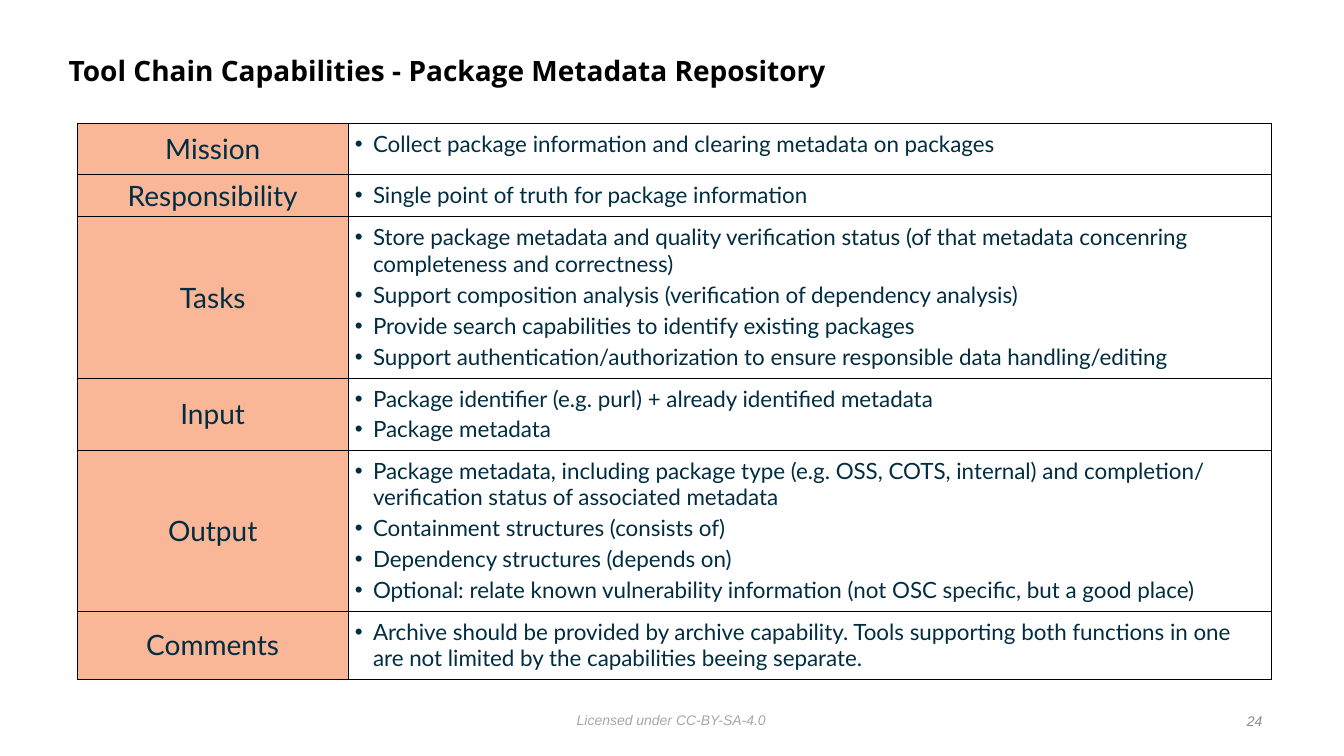
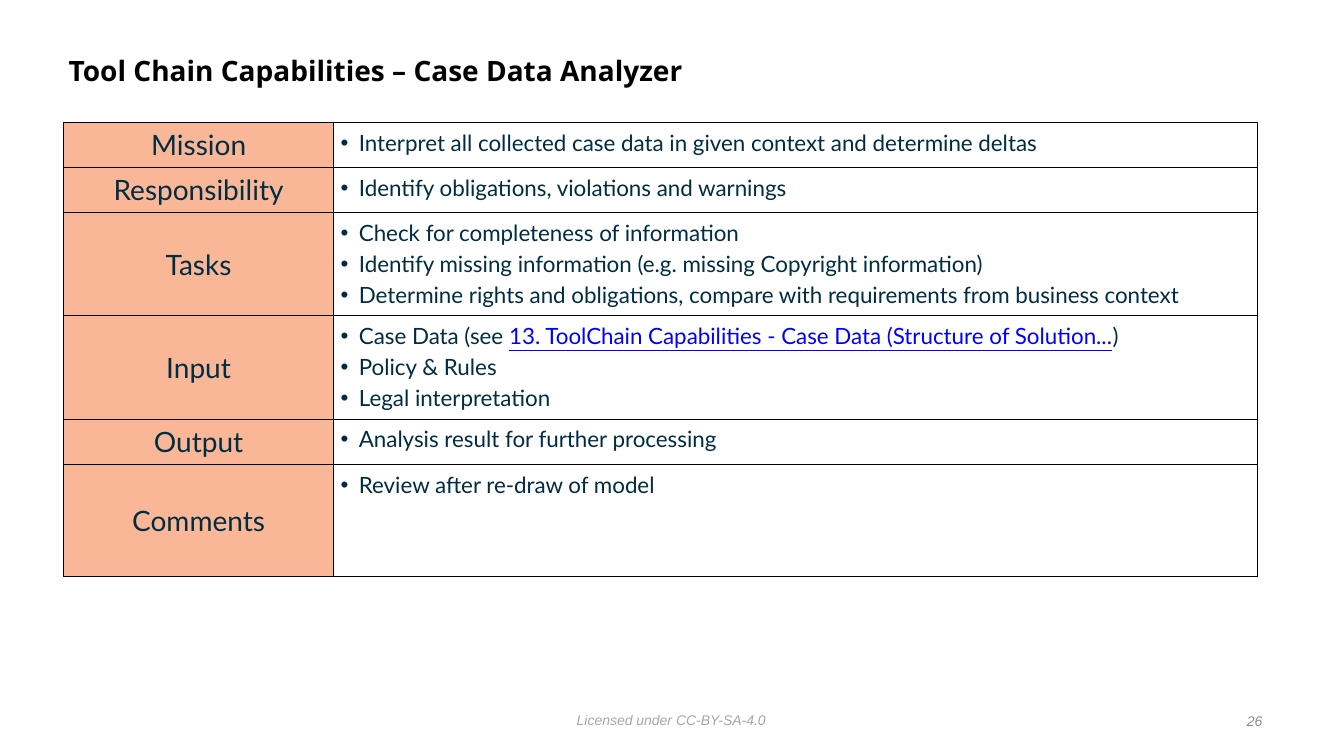
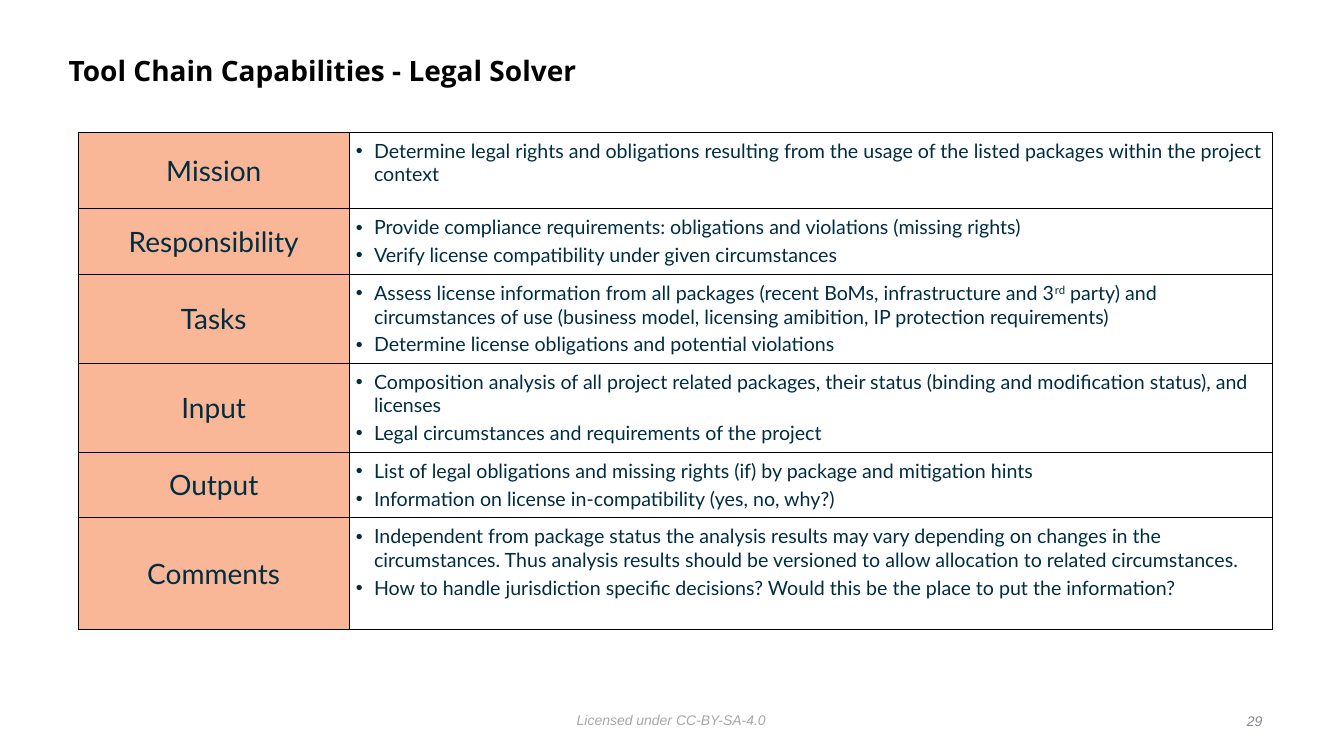
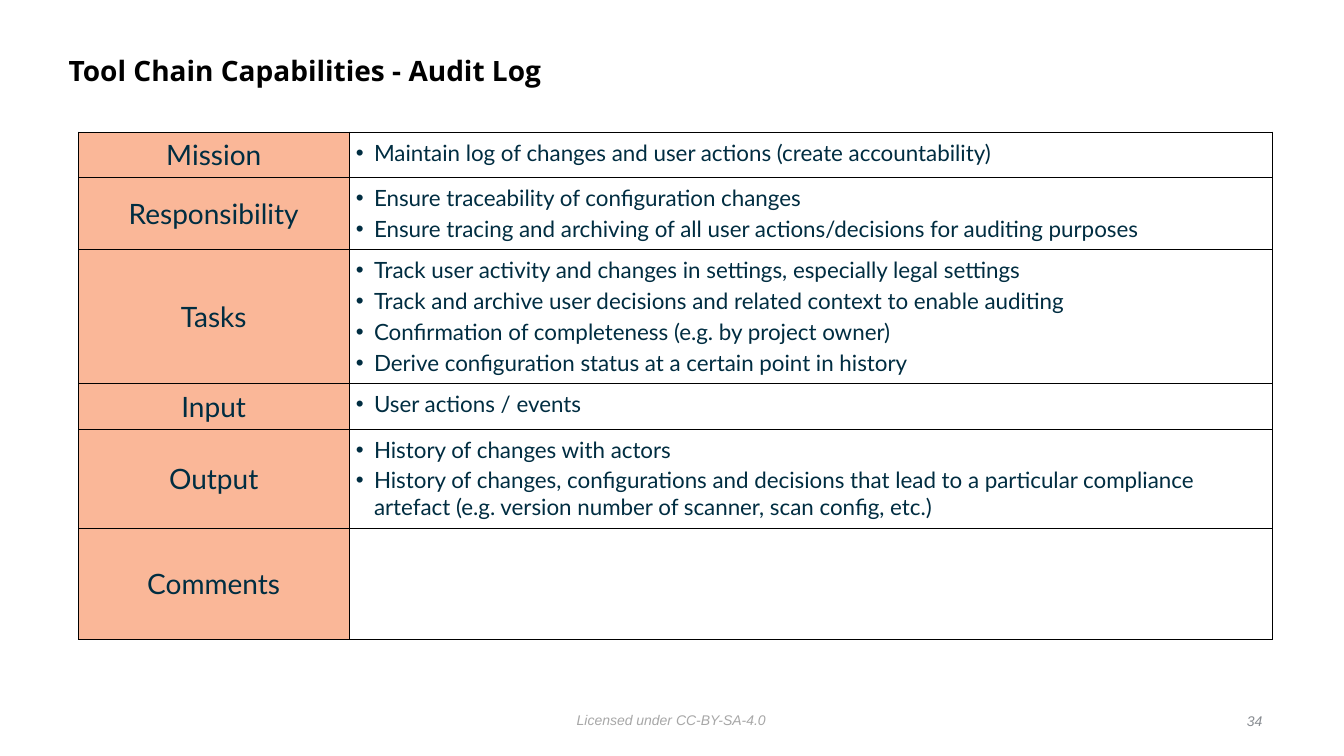
from lxml.etree import SubElement
from pptx import Presentation
from pptx.dml.color import RGBColor
from pptx.enum.text import MSO_ANCHOR, PP_ALIGN
from pptx.oxml.ns import qn
from pptx.util import Inches, Pt

BLACK, NAVY, PEACH, LINK_BLUE = "000000", "002D41", "FAB798", "0000FF"
LICENSE_GRAY, NUMBER_GRAY = "A7A7A7", "888C91"
TITLE_FONT, TABLE_FONT, FOOTER_FONT = "Open Sans", "Lato", "Arial"
COLUMN_WIDTHS = (2.68, 9.16)
LABELS = ("Mission", "Responsibility", "Tasks", "Input", "Output", "Comments")
LINK, SUPERSCRIPT = "link", "superscript"

# Each content entry holds the bullets of one row; a bullet is either
# a text or a list of (text, style) runs.
SLIDES = [
    {
        "title": "Tool Chain Capabilities - Package Metadata Repository",
        "number": 24,
        "position": (0.77, 1.22),
        "heights": (0.51, 0.42, 1.6, 0.71, 1.59, 0.67),
        "size": 16,
        "content": [
            ["Collect package information and clearing metadata on packages"],
            ["Single point of truth for package information"],
            ["Store package metadata and quality verification status (of that metadata "
             "concenring completeness and correctness)",
             "Support composition analysis (verification of dependency analysis)",
             "Provide search capabilities to identify existing packages",
             "Support authentication/authorization to ensure responsible data handling/editing"],
            ["Package identifier (e.g. purl) + already identified metadata",
             "Package metadata"],
            ["Package metadata, including package type (e.g. OSS, COTS, internal) and "
             "completion/ verification status of associated metadata",
             "Containment structures (consists of)",
             "Dependency structures (depends on)",
             "Optional: relate known vulnerability information (not OSC specific, "
             "but a good place)"],
            ["Archive should be provided by archive capability. Tools supporting both "
             "functions in one are not limited by the capabilities beeing separate."],
        ],
    },
    {
        "title": "Tool Chain Capabilities – Case Data Analyzer",
        "number": 26,
        "position": (0.63, 1.21),
        "heights": (0.45, 0.45, 1.02, 1.02, 0.45, 1.11),
        "size": 16,
        "content": [
            ["Interpret all collected case data in given context and determine deltas"],
            ["Identify obligations, violations and warnings"],
            ["Check for completeness of information",
             "Identify missing information (e.g. missing Copyright information)",
             "Determine rights and obligations, compare with requirements from "
             "business context"],
            [[("Case Data (see ", None),
              ("13. ToolChain Capabilities - Case Data (Structure of Solution...", LINK),
              (")", None)],
             "Policy & Rules",
             "Legal interpretation"],
            ["Analysis result for further processing"],
            ["Review after re-draw of model"],
        ],
    },
    {
        "title": "Tool Chain Capabilities - Legal Solver",
        "number": 29,
        "position": (0.78, 1.31),
        "heights": (0.76, 0.65, 0.88, 0.88, 0.65, 1.11),
        "size": 14,
        "content": [
            ["Determine legal rights and obligations resulting from the usage of the "
             "listed packages within the project context"],
            ["Provide compliance requirements: obligations and violations (missing rights)",
             "Verify license compatibility under given circumstances"],
            [[("Assess license information from all packages (recent BoMs, "
               "infrastructure and 3", None),
              ("rd", SUPERSCRIPT),
              (" party) and circumstances of use (business model, licensing amibition, "
               "IP protection requirements)", None)],
             "Determine license obligations and potential violations"],
            ["Composition analysis of all project related packages, their status "
             "(binding and modification status), and licenses",
             "Legal circumstances and requirements of the project"],
            ["List of legal obligations and missing rights (if) by package and "
             "mitigation hints",
             "Information on license in-compatibility (yes, no, why?)"],
            ["Independent from package status the analysis results may vary depending "
             "on changes in the circumstances. Thus analysis results should be versioned "
             "to allow allocation to related circumstances.",
             "How to handle jurisdiction specific decisions? Would this be the place to "
             "put the information?"],
        ],
    },
    {
        "title": "Tool Chain Capabilities - Audit Log",
        "number": 34,
        "position": (0.78, 1.31),
        "heights": (0.45, 0.71, 1.33, 0.45, 0.97, 1.11),
        "size": 16,
        "content": [
            ["Maintain log of changes and user actions (create accountability)"],
            ["Ensure traceability of configuration changes",
             "Ensure tracing and archiving of all user actions/decisions for "
             "auditing purposes"],
            ["Track user activity and changes in settings, especially legal settings",
             "Track and archive user decisions and related context to enable auditing",
             "Confirmation of completeness (e.g. by project owner)",
             "Derive configuration status at a certain point in history"],
            ["User actions / events"],
            ["History of changes with actors",
             "History of changes, configurations and decisions that lead to a particular "
             "compliance artefact (e.g. version number of scanner, scan config, etc.)"],
            [],
        ],
    },
]


def color(value):
    return RGBColor.from_string(value)


def set_font(paragraph, name, size, value, bold=False, italic=False):
    font = paragraph.font
    font.name, font.size = name, Pt(size)
    font.bold, font.italic = bold, italic
    font.color.rgb = color(value)


def set_margins(target, margin):
    target.margin_left = target.margin_right = Inches(margin)
    target.margin_top = target.margin_bottom = Inches(margin)


def add_text(slide, box, text, anchor=MSO_ANCHOR.MIDDLE):
    """Add a one-paragraph text box and return its paragraph."""
    frame = slide.shapes.add_textbox(*map(Inches, box)).text_frame
    frame.word_wrap = True
    frame.vertical_anchor = anchor
    set_margins(frame, 0.05)
    paragraph = frame.paragraphs[0]
    paragraph.text = text
    return paragraph


def add_title(slide, text):
    paragraph = add_text(slide, (0.63, 0.39, 10.75, 0.65), text)
    paragraph.line_spacing = 0.9
    set_font(paragraph, TITLE_FONT, 20, BLACK, bold=True)


def add_footer(slide, number):
    license_line = add_text(slide, (5.67, 7.01, 2.2, 0.25),
                            "Licensed under CC-BY-SA-4.0", MSO_ANCHOR.TOP)
    set_font(license_line, FOOTER_FONT, 10, LICENSE_GRAY, italic=True)
    page_number = add_text(slide, (12.07, 7.03, 0.5, 0.25), str(number))
    page_number.alignment = PP_ALIGN.RIGHT
    set_font(page_number, FOOTER_FONT, 10, NUMBER_GRAY, italic=True)


def add_borders(cell):
    properties = cell._tc.get_or_add_tcPr()
    for side in ("a:lnL", "a:lnR", "a:lnT", "a:lnB"):
        line = SubElement(properties, qn(side), w=str(Pt(0.5)))
        fill = SubElement(line, qn("a:solidFill"))
        SubElement(fill, qn("a:srgbClr"), val=BLACK)


def fill_label(cell, text):
    add_borders(cell)
    cell.fill.solid()
    cell.fill.fore_color.rgb = color(PEACH)
    cell.vertical_anchor = MSO_ANCHOR.MIDDLE
    set_margins(cell, 0)
    paragraph = cell.text_frame.paragraphs[0]
    paragraph.text = text
    paragraph.alignment = PP_ALIGN.CENTER
    set_font(paragraph, TABLE_FONT, 20, NAVY)


def add_bullet(paragraph):
    properties = paragraph._p.get_or_add_pPr()
    properties.set("marL", str(Inches(0.18)))
    properties.set("indent", str(Inches(-0.18)))
    SubElement(properties, qn("a:buFont"), typeface="Arial")
    SubElement(properties, qn("a:buChar"), char="•")


def add_run(paragraph, text, style):
    run = paragraph.add_run()
    run.text = text
    if style == LINK:
        run.font.color.rgb = color(LINK_BLUE)
        run.font.underline = True
    elif style == SUPERSCRIPT:
        run._r.get_or_add_rPr().set("baseline", "30000")


def fill_bullets(cell, bullets, size):
    add_borders(cell)
    cell.fill.background()
    set_margins(cell, 0.07)
    frame = cell.text_frame
    for index, bullet in enumerate(bullets):
        paragraph = frame.add_paragraph() if index else frame.paragraphs[0]
        add_bullet(paragraph)
        if index:
            paragraph.space_before = Pt(3)
        set_font(paragraph, TABLE_FONT, size, NAVY)
        runs = [(bullet, None)] if isinstance(bullet, str) else bullet
        for text, style in runs:
            add_run(paragraph, text, style)


def add_capability_table(slide, position, heights, content, size):
    left, top = position
    frame = slide.shapes.add_table(
        len(LABELS), len(COLUMN_WIDTHS), Inches(left), Inches(top),
        Inches(sum(COLUMN_WIDTHS)), Inches(sum(heights)))
    table = frame.table
    table.first_row = table.horz_banding = False
    for column, width in zip(table.columns, COLUMN_WIDTHS):
        column.width = Inches(width)
    for row, height, label, bullets in zip(table.rows, heights, LABELS, content):
        row.height = Inches(height)
        fill_label(row.cells[0], label)
        fill_bullets(row.cells[1], bullets, size)


def main():
    presentation = Presentation()
    presentation.slide_width = Inches(13.33)
    presentation.slide_height = Inches(7.5)
    for entry in SLIDES:
        slide = presentation.slides.add_slide(presentation.slide_layouts[6])
        add_title(slide, entry["title"])
        add_capability_table(slide, entry["position"], entry["heights"],
                             entry["content"], entry["size"])
        add_footer(slide, entry["number"])
    presentation.save("out.pptx")


if __name__ == "__main__":
    main()
